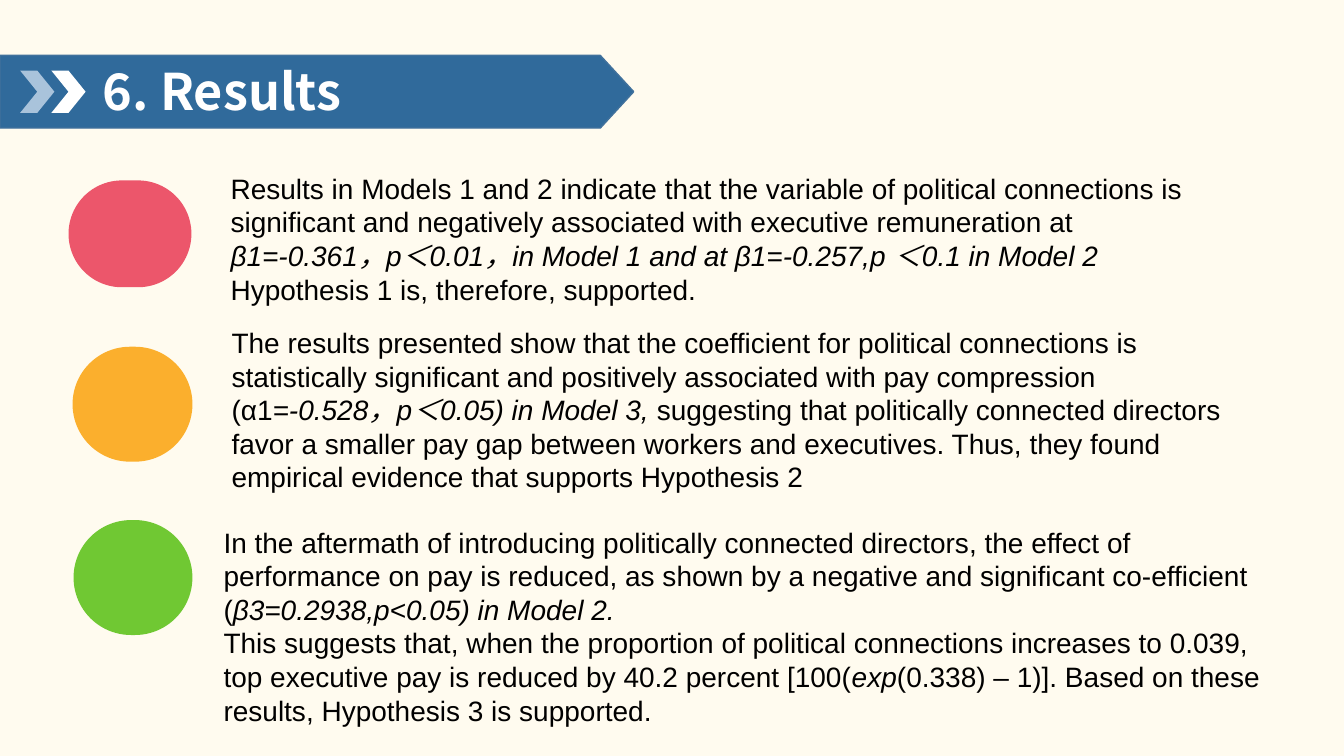
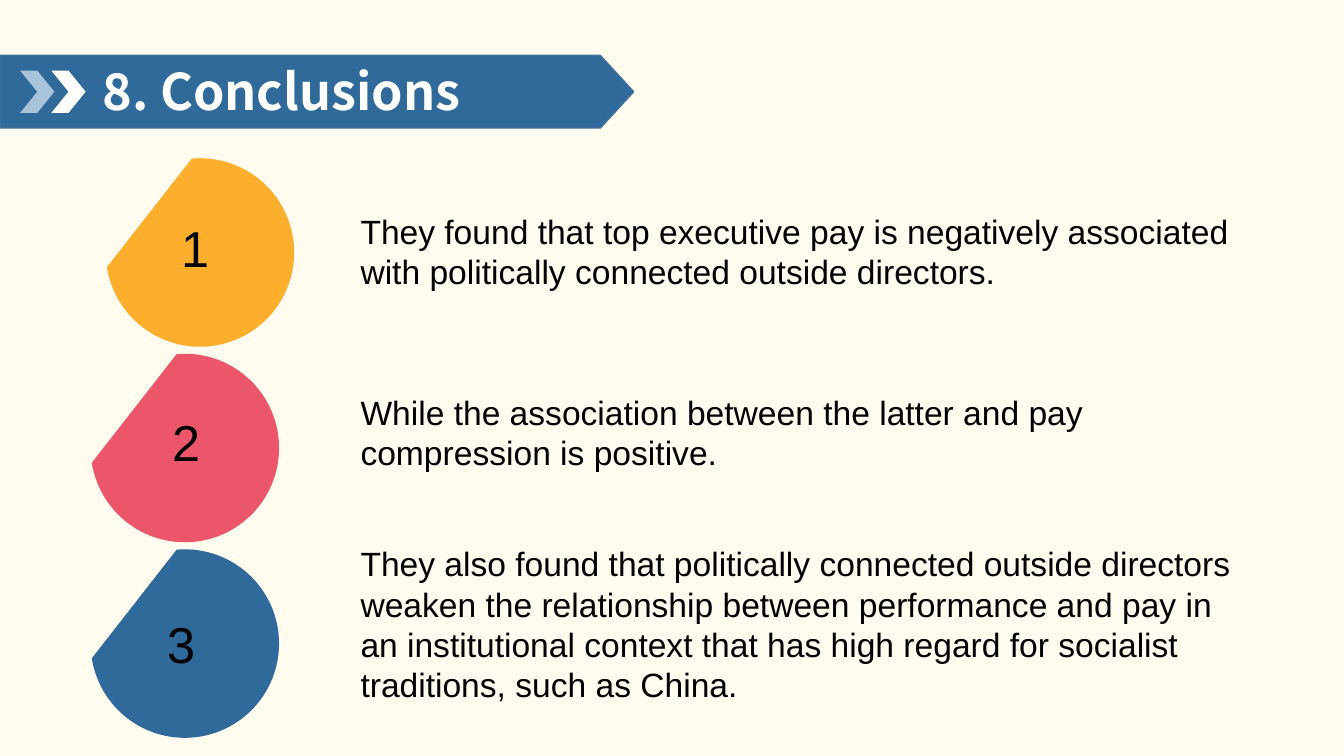
from dataclasses import dataclass

from lxml.etree import SubElement
from pptx import Presentation
from pptx.dml.color import RGBColor
from pptx.enum.shapes import MSO_SHAPE
from pptx.enum.text import MSO_ANCHOR
from pptx.oxml.ns import qn
from pptx.shapes.autoshape import Shape
from pptx.slide import Slide
from pptx.util import Emu, Pt

PX = 9144  # 100 px to the inch
WIDE, HIGH = 1334, 750


@dataclass(frozen=True)
class Theme:
    cream: str = "FFFBEF"
    blue: str = "306A9B"
    edge: str = "41719C"
    pale: str = "A9C3DB"
    white: str = "FFFFFF"
    black: str = "000000"
    red: str = "EC566B"
    amber: str = "FBAF2D"
    green: str = "70C833"
    head: str = "Noto Sans CJK SC"
    body: str = "Arial"
    title: int = 36
    digit: int = 36
    point: int = 24
    text: int = 20


LOOK = Theme()


@dataclass(frozen=True)
class Box:
    x: int
    y: int
    w: int
    h: int

    def emu(self) -> list[Emu]:
        return [Emu(n * PX) for n in (self.x, self.y, self.w, self.h)]


@dataclass(frozen=True)
class Style:
    size: int
    color: str = LOOK.black
    font: str = LOOK.body
    bold: bool = False


@dataclass(frozen=True)
class Run:
    text: str
    slant: bool = False


Para = tuple[Run, ...]


@dataclass(frozen=True)
class Finding:
    color: str
    dot: Box
    area: Box
    paras: tuple[Para, ...]


@dataclass(frozen=True)
class Point:
    color: str
    left: int
    digit: Box
    top: int
    lines: int
    text: str


TITLE = Style(LOOK.title, LOOK.white, LOOK.head, True)

FINDINGS = (
    Finding(LOOK.red, Box(68, 179, 122, 106), Box(219, 165, 1053, 150), (
        (Run("Results in Models 1 and 2 indicate that the variable of political "
             "connections is significant and negatively associated with "
             "executive remuneration at"),),
        (Run("β1=-0.361，p＜0.01，in Model 1 and at β1=-0.257,p ＜0.1 in Model 2",
             True),),
        (Run("Hypothesis 1 is, therefore, supported."),),
    )),
    Finding(LOOK.amber, Box(72, 344, 119, 114), Box(220, 318, 1033, 180), (
        (Run("The results presented show that the coefficient for political "
             "connections is statistically significant and positively "
             "associated with pay compression (α1"),
         Run("=-0.528，p＜0.05) in Model 3, ", True),
         Run("suggesting that politically connected directors favor a smaller "
             "pay gap between workers and executives. Thus, they found "
             "empirical evidence that supports Hypothesis 2")),
    )),
    Finding(LOOK.green, Box(73, 516, 118, 114), Box(212, 516, 1049, 210), (
        (Run("In the aftermath of introducing politically connected directors, "
             "the effect of"),),
        (Run("performance on pay is reduced, as shown by a negative and "
             "significant co-efficient ("),
         Run("β3=0.2938,p<0.05) in Model 2.", True)),
        (Run("This suggests that, when the proportion of political connections "
             "increases to 0.039, top executive pay is reduced by 40.2 percent "
             "[100("),
         Run("exp", True),
         Run("(0.338) – 1)]. Based on these results, Hypothesis 3 is "
             "supported.")),
    )),
)

POINTS = (
    Point(LOOK.amber, 105, Box(170, 211, 105, 70), 204, 2,
          "They found that top executive pay is negatively associated with "
          "politically connected outside directors."),
    Point(LOOK.red, 90, Box(161, 403, 106, 70), 384, 2,
          "While the association between the latter and pay compression is "
          "positive."),
    Point(LOOK.blue, 90, Box(156, 603, 105, 70), 534, 4,
          "They also found that politically connected outside directors weaken "
          "the relationship between performance and pay in an institutional "
          "context that has high regard for socialist traditions, such as "
          "China."),
)


def draw(page: Slide, kind: MSO_SHAPE, box: Box, color: str,
         edge: str = "") -> Shape:
    shape = page.shapes.add_shape(kind, *box.emu())
    shape.shadow.inherit = False
    shape.fill.solid()
    shape.fill.fore_color.rgb = RGBColor.from_string(color)
    if edge:
        shape.line.color.rgb = RGBColor.from_string(edge)
        shape.line.width = Pt(1)
    else:
        shape.line.fill.background()
    return shape


def write(page: Slide, box: Box, paras: tuple[Para, ...], style: Style,
          anchor: MSO_ANCHOR = MSO_ANCHOR.TOP, space: float = 1.0) -> None:
    frame = page.shapes.add_textbox(*box.emu()).text_frame
    frame.word_wrap = True
    frame.vertical_anchor = anchor
    for num, para in enumerate(paras):
        line = frame.add_paragraph() if num else frame.paragraphs[0]
        line.line_spacing = space
        for part in para:
            run = line.add_run()
            run.text = part.text
            font = run.font
            font.size, font.name = Pt(style.size), style.font
            font.bold, font.italic = style.bold, part.slant
            font.color.rgb = RGBColor.from_string(style.color)
            # East Asian signs use the heading face
            SubElement(font._element, qn("a:ea"), typeface=LOOK.head)


def start(deck: Presentation, title: str) -> Slide:
    page = deck.slides.add_slide(deck.slide_layouts[6])
    draw(page, MSO_SHAPE.RECTANGLE, Box(0, 0, WIDE, HIGH), LOOK.cream)
    # Title band with its two chevrons
    band = draw(page, MSO_SHAPE.PENTAGON, Box(0, 55, 629, 72),
                LOOK.blue, LOOK.edge)
    band.adjustments[0] = 0.46
    for left, color in ((20, LOOK.pale), (51, LOOK.white)):
        draw(page, MSO_SHAPE.CHEVRON, Box(left, 70, 34, 42), color)
    write(page, Box(92, 58, 513, 71), ((Run(title),),), TITLE,
          MSO_ANCHOR.MIDDLE, 0.9)
    return page


def results(deck: Presentation) -> None:
    page = start(deck, "6. Results")
    for item in FINDINGS:
        dot = draw(page, MSO_SHAPE.ROUNDED_RECTANGLE, item.dot, item.color)
        dot.adjustments[0] = 0.5
        write(page, item.area, item.paras, Style(LOOK.text))


def closing(deck: Presentation) -> None:
    page = start(deck, "8. Conclusions")
    disc, first, step = 187, 157, 194
    for num, item in enumerate(POINTS):
        # Disc with its upper left cut off, angles in degrees
        box = Box(item.left, first + num * step, disc, disc)
        cut = draw(page, MSO_SHAPE.CHORD, box, item.color)
        for spot, angle in enumerate((265, 171)):
            cut.adjustments[spot] = angle * 0.6
        write(page, item.digit, ((Run(str(num + 1)),),), Style(LOOK.digit))
        write(page, Box(348, item.top, 888, 10 + 40 * item.lines),
              ((Run(item.text),),), Style(LOOK.point))


def main() -> None:
    deck = Presentation()
    deck.slide_width, deck.slide_height = Emu(WIDE * PX), Emu(HIGH * PX)
    results(deck)
    closing(deck)
    deck.save("out.pptx")


if __name__ == "__main__":
    main()
